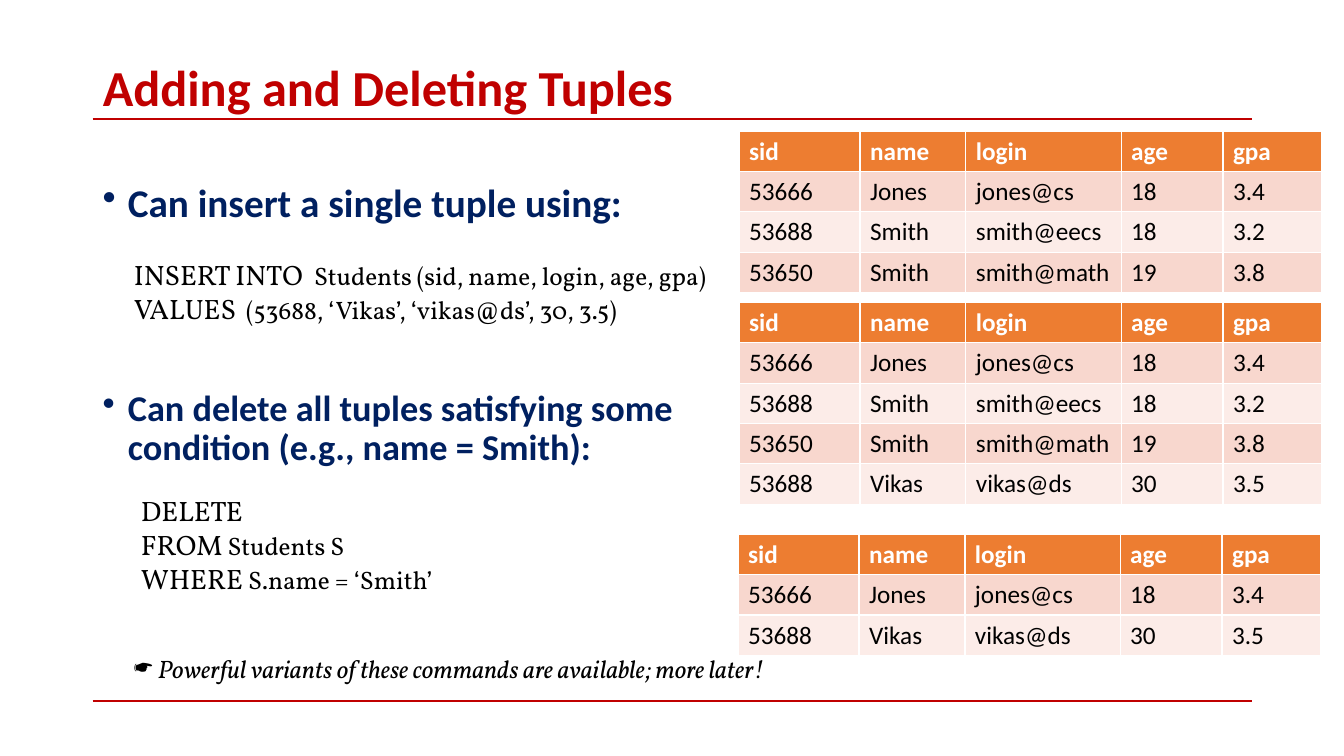
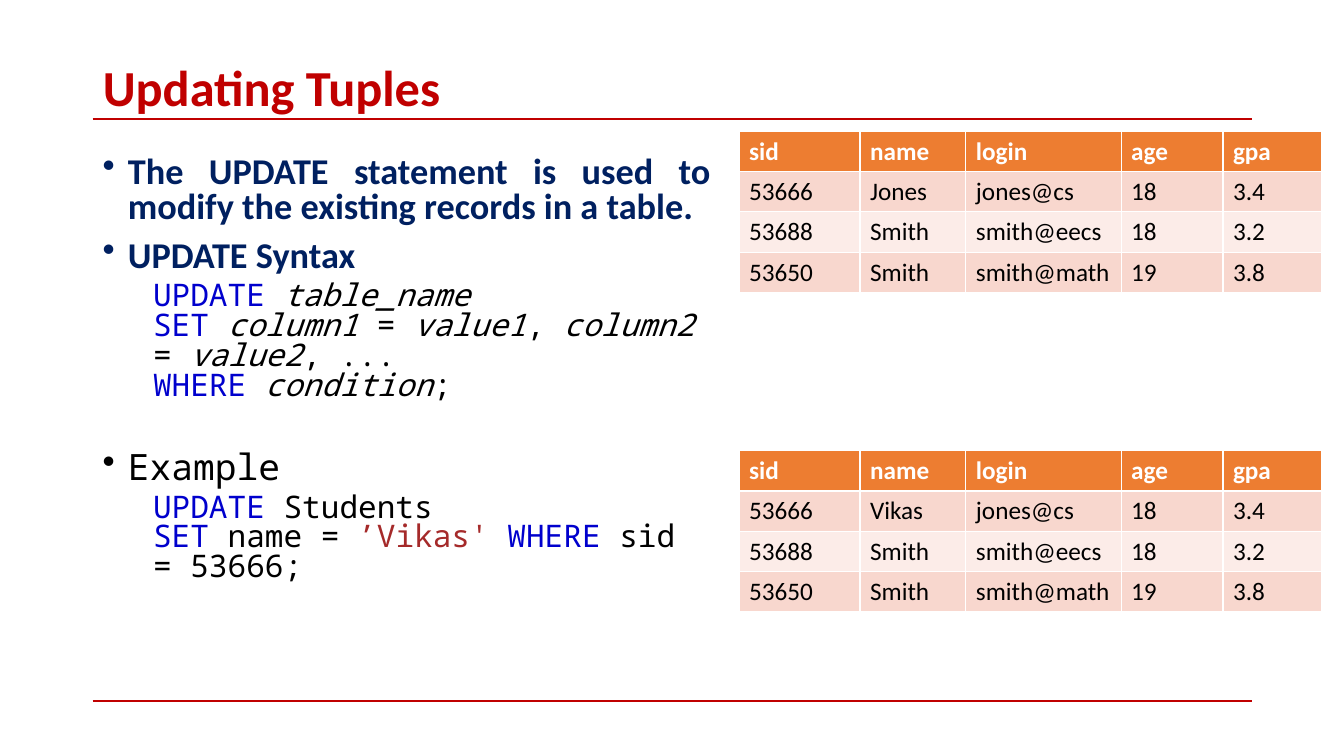
"""Build two slides on adding, deleting and updating tuples in a Students table."""
from dataclasses import dataclass

from lxml import etree
from pptx import Presentation
from pptx import util as u
from pptx.dml.color import RGBColor
from pptx.enum import shapes, text
from pptx.oxml import ns


@dataclass(frozen=True)
class Style:
    size: float
    font: str
    color: str = "000000"
    bold: bool = False
    italic: bool = False


class Theme:
    rule = "C00000"
    header_fill = "ED7D31"
    band_fills = ("FCECE8", "F8D7CE")
    title = Style(36, "Calibri", "C00000", bold=True)
    lead = Style(28, "Calibri", "002060", bold=True)
    point = Style(25.9, "Calibri", "002060", bold=True)
    table_header = Style(18, "Calibri", "FFFFFF", bold=True)
    table_cell = Style(18, "Calibri")
    keyword = Style(20, "Vollkorn")
    clause = Style(18, "Vollkorn")
    remark = Style(18, "Vollkorn", italic=True)
    example = Style(25.9, "Noto Sans Mono")
    code = Style(22.2, "Noto Sans Mono")
    code_keyword = Style(22.2, "Noto Sans Mono", "0000CD")
    code_name = Style(22.2, "Noto Sans Mono", italic=True)
    code_string = Style(22.2, "Noto Sans Mono", "A52A2A")


def write_paragraph(paragraph, runs, bullet=None, margin=0, indent=0, line=1.0, before=0, align=text.PP_ALIGN.LEFT):
    paragraph.alignment = align
    paragraph.line_spacing = line
    paragraph.space_before = u.Pt(before)
    properties = paragraph._p.get_or_add_pPr()
    properties.set("marL", str(u.Inches(margin)))
    properties.set("indent", str(u.Inches(indent)))
    if bullet:
        etree.SubElement(properties, ns.qn("a:buChar")).set("char", bullet)
    for content, style in runs:
        if content == "\n":
            paragraph.add_line_break()
            continue
        run = paragraph.add_run()
        run.text = content
        run.font.size = u.Pt(style.size)
        run.font.name = style.font
        run.font.color.rgb = RGBColor.from_string(style.color)
        run.font.bold = style.bold
        run.font.italic = style.italic


def add_student_table(slide, left, top, records):
    rows = [("sid", "name", "login", "age", "gpa"), *records]
    widths = (1.2, 1.05, 1.54, 1.01, 0.98)
    row_height = 0.4
    table = slide.shapes.add_table(
        len(rows), len(widths), u.Inches(left), u.Inches(top), u.Inches(sum(widths)), u.Inches(row_height * len(rows))
    ).table
    for column, width in zip(table.columns, widths):
        column.width = u.Inches(width)
    for index, values in enumerate(rows):
        table.rows[index].height = u.Inches(row_height)
        fill = Theme.band_fills[index % 2] if index else Theme.header_fill
        style = Theme.table_cell if index else Theme.table_header
        for cell, value in zip(table.rows[index].cells, values):
            cell.fill.solid()
            cell.fill.fore_color.rgb = RGBColor.from_string(fill)
            write_paragraph(cell.text_frame.paragraphs[0], [(value, style)])


jones = ("53666", "Jones", "jones@cs", "18", "3.4")
smith_eecs = ("53688", "Smith", "smith@eecs", "18", "3.2")
smith_math = ("53650", "Smith", "smith@math", "19", "3.8")
vikas = ("53688", "Vikas", "vikas@ds", "30", "3.5")
renamed_jones = ("53666", "Vikas", *jones[2:])

bullet_point = dict(bullet="•", margin=0.25, indent=-0.25, line=0.9, before=10)
tight_point = dict(bullet_point, line=0.8)
justified_point = dict(tight_point, align=text.PP_ALIGN.JUSTIFY)
spaced_point = dict(tight_point, before=36)
code_block = dict(margin=0.5, line=0.8, before=5)

slides = [
    {
        "title": "Adding and Deleting Tuples",
        "texts": [
            ((0.92, 1.77, 5.75, 0.67), [([("Can insert a single tuple using:", Theme.lead)], bullet_point)]),
            ((1.23, 2.51, 6.18, 0.77), [
                ([("INSERT INTO  ", Theme.keyword), ("Students (sid, name, login, age, gpa)", Theme.clause)], {}),
                ([("VALUES", Theme.keyword), ("  (53688, ‘Vikas’, ‘vikas@ds’, 30, 3.5)", Theme.clause)], {}),
            ]),
            ((0.92, 3.82, 6.26, 1.11), [
                ([("Can delete all tuples satisfying some condition (e.g., name = Smith):", Theme.point)], bullet_point),
            ]),
            ((1.3, 4.85, 3.2, 1.11), [
                ([("DELETE", Theme.keyword)], {}),
                ([("FROM", Theme.keyword), (" Students S", Theme.clause)], {}),
                ([("WHERE", Theme.keyword), (" S.name = ‘Smith’", Theme.clause)], {}),
            ]),
            ((1.23, 6.43, 6.72, 0.4), [
                ([(" Powerful variants of these commands are available; more later!", Theme.remark)], {"bullet": "☛"}),
            ]),
        ],
        "tables": [
            (7.33, 1.3, [jones, smith_eecs, smith_math]),
            (7.33, 3, [jones, smith_eecs, smith_math, vikas]),
            (7.32, 5.3, [jones, vikas]),
        ],
    },
    {
        "title": "Updating Tuples",
        "texts": [
            ((0.92, 1.51, 6.23, 4.56), [
                ([("The UPDATE statement is used to modify the existing records in a table.", Theme.point)],
                 justified_point),
                ([("UPDATE Syntax", Theme.point)], justified_point),
                ([
                    ("UPDATE ", Theme.code_keyword), ("table_name", Theme.code_name), ("\n", None),
                    ("SET ", Theme.code_keyword), ("column1 ", Theme.code_name), ("=", Theme.code),
                    (" value1", Theme.code_name), (",", Theme.code), (" column2 ", Theme.code_name),
                    ("=", Theme.code), (" value2", Theme.code_name), (", ...", Theme.code), ("\n", None),
                    ("WHERE ", Theme.code_keyword), ("condition", Theme.code_name), (";", Theme.code),
                ], code_block),
                ([("Example", Theme.example)], spaced_point),
                ([
                    ("UPDATE", Theme.code_keyword), (" Students", Theme.code), ("\n", None),
                    ("SET", Theme.code_keyword), (" name = ", Theme.code), ("’Vikas' ", Theme.code_string),
                    ("WHERE ", Theme.code_keyword), ("sid = 53666;", Theme.code),
                ], code_block),
            ]),
        ],
        "tables": [
            (7.33, 1.3, [jones, smith_eecs, smith_math]),
            (7.33, 4.47, [renamed_jones, smith_eecs, smith_math]),
        ],
    },
]

presentation = Presentation()
presentation.slide_width = u.Inches(13.33)
presentation.slide_height = u.Inches(7.5)
title_only = presentation.slide_layouts[5]

for content in slides:
    slide = presentation.slides.add_slide(title_only)

    for rule_top in (1.18, 6.95):
        rule = slide.shapes.add_connector(
            shapes.MSO_CONNECTOR.STRAIGHT, u.Inches(0.92), u.Inches(rule_top), u.Inches(12.42), u.Inches(rule_top)
        )
        rule.line.color.rgb = RGBColor.from_string(Theme.rule)
        rule.line.width = u.Pt(1.5)
        etree.SubElement(rule._element.spPr, ns.qn("a:effectLst"))

    title = slide.shapes.title
    title.left, title.top, title.width, title.height = map(u.Inches, (0.92, 0.61, 11.5, 0.58))
    title.text_frame.auto_size = text.MSO_AUTO_SIZE.NONE
    title.text_frame.vertical_anchor = text.MSO_ANCHOR.MIDDLE
    write_paragraph(title.text_frame.paragraphs[0], [(content["title"], Theme.title)], line=0.9)

    for box, paragraphs in content["texts"]:
        frame = slide.shapes.add_textbox(*map(u.Inches, box)).text_frame
        frame.word_wrap = True
        for index, (runs, layout) in enumerate(paragraphs):
            paragraph = frame.add_paragraph() if index else frame.paragraphs[0]
            write_paragraph(paragraph, runs, **layout)

    for left, top, records in content["tables"]:
        add_student_table(slide, left, top, records)

presentation.save("out.pptx")
